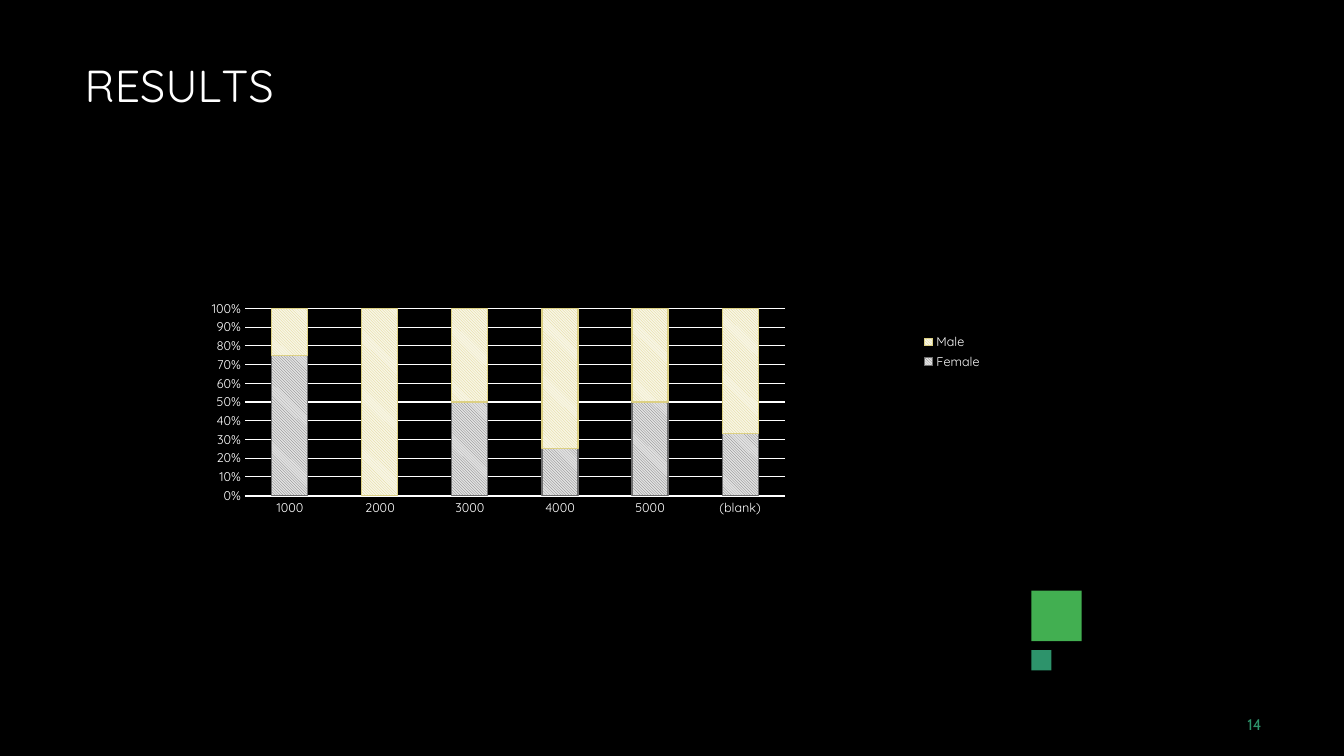
from dataclasses import dataclass

from lxml.etree import SubElement
from pptx import Presentation
from pptx.chart.data import CategoryChartData
from pptx.dml.color import RGBColor
from pptx.enum.chart import XL_CHART_TYPE, XL_LEGEND_POSITION, XL_TICK_MARK
from pptx.enum.dml import MSO_PATTERN
from pptx.enum.shapes import MSO_SHAPE
from pptx.enum.text import MSO_ANCHOR, PP_ALIGN
from pptx.oxml.ns import qn
from pptx.util import Inches, Pt


@dataclass(frozen=True)
class Theme:
    black: RGBColor = RGBColor.from_string("000000")
    white: RGBColor = RGBColor.from_string("FFFFFF")
    green: RGBColor = RGBColor.from_string("42AF51")
    teal: RGBColor = RGBColor.from_string("2D936B")
    gray: RGBColor = RGBColor.from_string("6F6F6F")
    pale_gray: RGBColor = RGBColor.from_string("E2E2E2")
    yellow: RGBColor = RGBColor.from_string("DCD084")
    pale_yellow: RGBColor = RGBColor.from_string("F8F6E6")
    heading_font: str = "Quicksand"
    number_font: str = "Cabin"
    title_size: int = 32
    number_size: int = 11
    chart_size: int = 10
    label_size: int = 9


theme = Theme()
deck = Presentation()
deck.slide_width = Inches(13.33)
deck.slide_height = Inches(7.5)


def area(left, top, width, height):
    column, row = deck.slide_width / 100, deck.slide_height / 100
    return int(left * column), int(top * row), int(width * column), int(height * row)


def write(box, pieces, *, font, size, color, indent, before, anchor):
    frame = box.text_frame
    frame.word_wrap = True
    frame.vertical_anchor = anchor
    frame.margin_left = frame.margin_right = frame.margin_bottom = 0
    frame.margin_top = Inches(0.01)
    para = frame.paragraphs[0]
    para.alignment = PP_ALIGN.LEFT
    para.space_before = Pt(before)
    properties = para._p.get_or_add_pPr()
    properties.set("marL", str(Inches(indent)))
    properties.set("indent", "0")
    for text, spacing in pieces:
        span = para.add_run()
        span.text = text
        span.font.name = font
        span.font.size = Pt(size)
        span.font.color.rgb = color
        span._r.get_or_add_rPr().set("spc", str(int(spacing * 100)))


page = deck.slides.add_slide(deck.slide_layouts[5])
page.background.fill.solid()
page.background.fill.fore_color.rgb = theme.black

for top, width, height, color in (
    (78.13, 3.75, 6.67, theme.green),
    (86, 1.5, 2.67, theme.teal),
):
    square = page.shapes.add_shape(MSO_SHAPE.RECTANGLE, *area(76.74, top, width, height))
    square.shadow.inherit = False
    square.fill.solid()
    square.fill.fore_color.rgb = color
    square.line.fill.background()

title = page.shapes.title
title.left, title.top, title.width, title.height = area(6.23, 5.6, 20.03, 11.07)
write(
    title,
    (("R", 0), ("E", -0.4), ("S", 0.1), ("U", -0.3), ("L", -4), ("TS", 0)),
    font=theme.heading_font, size=theme.title_size, color=theme.white,
    indent=0.01, before=1.1, anchor=MSO_ANCHOR.MIDDLE,
)

number = page.shapes.add_textbox(*area(92.5, 94.4, 1.88, 2.8))
write(
    number, (("14", 0.1),),
    font=theme.number_font, size=theme.number_size, color=theme.teal,
    indent=0.04, before=0.6, anchor=MSO_ANCHOR.TOP,
)

results = CategoryChartData()
results.categories = ["1000", "2000", "3000", "4000", "5000", "(blank)"]
results.add_series("Female", (75, None, 50, 25, 50, 33))
results.add_series("Male", (25, 100, 50, 75, 50, 67))
chart = page.shapes.add_chart(
    XL_CHART_TYPE.COLUMN_STACKED_100, *area(13.65, 16.4, 60.17, 60.27), results
).chart
chart.has_title = False
chart.has_legend = True
chart.legend.position = XL_LEGEND_POSITION.RIGHT
chart.legend.include_in_layout = False

columns = chart.plots[0]
columns.gap_width = 150
columns.overlap = 100
columns.vary_by_categories = False
for series, dark, pale in zip(
    columns.series, (theme.gray, theme.yellow), (theme.pale_gray, theme.pale_yellow)
):
    fill = series.format.fill
    fill.patterned()
    fill.pattern = MSO_PATTERN.LIGHT_DOWNWARD_DIAGONAL
    fill.fore_color.rgb = dark
    fill.back_color.rgb = pale
    series.format.line.color.rgb = dark
    series.format.line.width = Pt(0.75)

categories, shares = chart.category_axis, chart.value_axis
for axis in (categories, shares):
    axis.major_tick_mark = axis.minor_tick_mark = XL_TICK_MARK.NONE
categories.format.line.color.rgb = theme.white
categories.format.line.width = Pt(1.5)
shares.format.line.fill.background()
shares.minimum_scale, shares.maximum_scale, shares.major_unit = 0, 1, 0.1
shares.tick_labels.number_format = "0%"
shares.tick_labels.number_format_is_linked = False
shares.has_major_gridlines = True
shares.major_gridlines.format.line.color.rgb = theme.white
shares.major_gridlines.format.line.width = Pt(0.75)

for font, size in (
    (chart.font, theme.chart_size),
    (chart.legend.font, theme.label_size),
    (categories.tick_labels.font, theme.label_size),
    (shares.tick_labels.font, theme.label_size),
):
    font.name = theme.heading_font
    font.size = Pt(size)
    font.color.rgb = theme.white

plot_area = chart._chartSpace.chart.plotArea
for old_layout in plot_area.findall(qn("c:layout")):
    plot_area.remove(old_layout)
layout = SubElement(plot_area, qn("c:layout"))
plot_area.insert(0, layout)
manual = SubElement(layout, qn("c:manualLayout"))
for tag, value in (
    ("layoutTarget", "inner"), ("xMode", "edge"), ("yMode", "edge"),
    ("x", "0.076"), ("y", "0.405"), ("w", "0.668"), ("h", "0.411"),
):
    SubElement(manual, qn(f"c:{tag}")).set("val", value)

deck.save("out.pptx")
